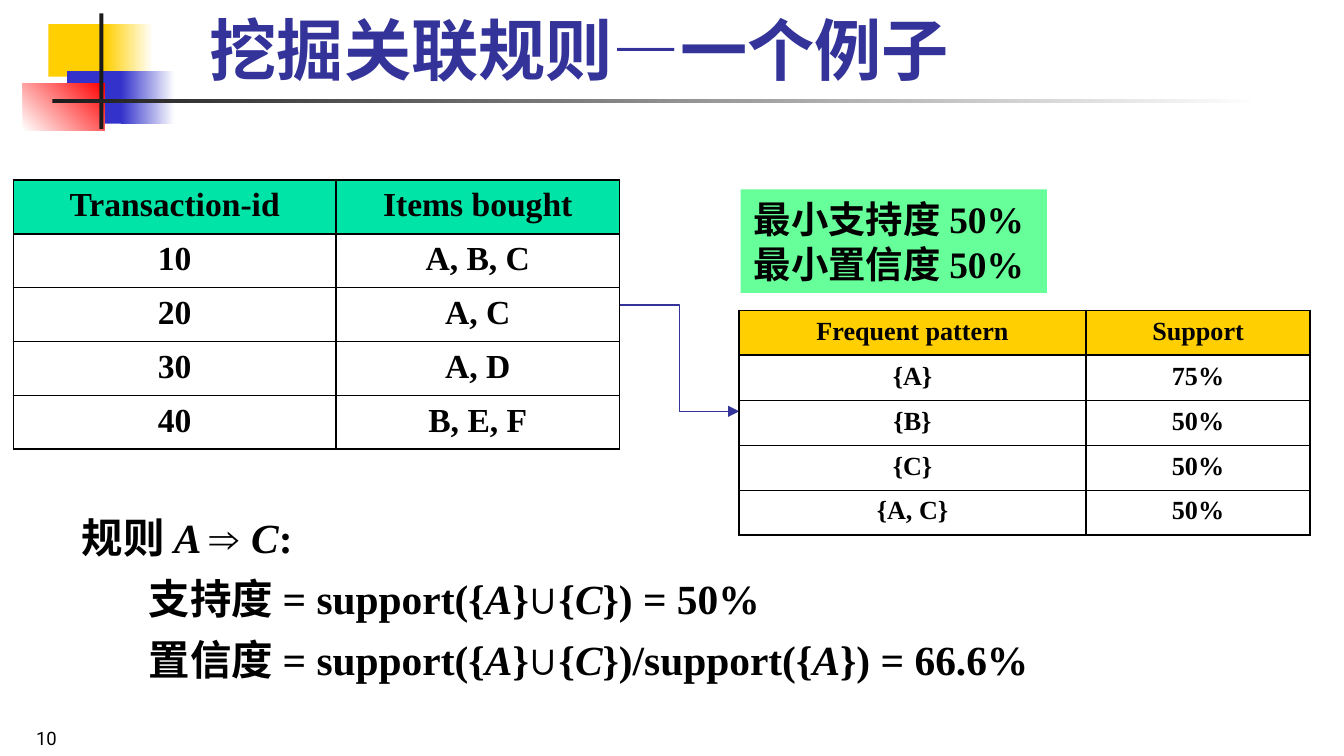
from dataclasses import dataclass

from lxml import etree
from pptx import Presentation
from pptx import util as u
from pptx.dml.color import RGBColor
from pptx.enum import shapes, text
from pptx.oxml.ns import qn

COLORS = {
    "yellow": "FFCF01", "blue": "3333CC", "red": "FF0000", "white": "FFFFFF",
    "dark": "1C1C1C", "navy": "333399", "black": "000000",
    "teal": "00E4A8", "mint": "66FF99",
}
SERIF = "Times New Roman"
THIN, THICK = 0.45, 1.08
SLIDE_WIDTH = 10
SLIDE_HEIGHT = SLIDE_WIDTH * 9 / 16


@dataclass
class Block:
    box: tuple[float, float, float, float]
    color: str
    fade_to: str | None = None
    angle: float = 0


@dataclass
class Grid:
    left: float
    top: float
    widths: tuple[float, ...]
    row_height: float
    size: float
    before: float
    header: str
    rows: list[tuple[str, ...]]


DECOR = [
    Block((0.36, 0.18, 0.48, 0.39), "yellow"),
    Block((0.78, 0.18, 0.36, 0.39), "yellow", "white"),
    Block((0.5, 0.53, 0.46, 0.39), "blue"),
    Block((0.9, 0.53, 0.4, 0.39), "blue", "white"),
    Block((0.17, 0.62, 0.61, 0.35), "white", "red", 45),
    Block((0.74, 0.1, 0.03, 0.86), "dark"),
    Block((0.39, 0.74, 9, 0.03), "dark", "white"),
]
TRANSACTIONS = Grid(0.1, 1.34, (2.4, 2.11), 0.38, 18, 4.5, "teal", [
    ("Transaction-id", "Items bought"),
    ("10", "A, B, C"), ("20", "A, C"), ("30", "A, D"), ("40", "B, E, F"),
])
PATTERNS = Grid(5.5, 2.31, (2.58, 1.67), 0.31, 14, 3.5, "yellow", [
    ("Frequent pattern", "Support"),
    ("{A}", "75%"), ("{B}", "50%"), ("{C}", "50%"), ("{A, C}", "50%"),
])
UNION = ["A", "}", "∪", "{", "C"]
RULES = [
    (0.38, -0.38, ["规则 ", "A ", "⇒ ", "C", ":"]),
    (0.81, -0.31, ["支持度 = support({", *UNION, "}) = 50%"]),
    (0.81, -0.31, ["置信度 = support({", *UNION, "})/support({", "A", "}) = 66.6%"]),
]


def rgb(name: str) -> RGBColor:
    return RGBColor.from_string(COLORS[name])


def inches(*values: float) -> list[u.Length]:
    return [u.Inches(v) for v in values]


def set_font(p, size: float, color: str = "black", name: str = SERIF, bold: bool = True) -> None:
    f = p.font
    f.name, f.size, f.bold = name, u.Pt(size), bold
    f.color.rgb = rgb(color)


def draw_block(s, block: Block):
    sp = s.shapes.add_shape(shapes.MSO_SHAPE.RECTANGLE, *inches(*block.box))
    sp.shadow.inherit = False
    sp.line.fill.background()
    if block.fade_to:
        sp.fill.gradient()
        sp.fill.gradient_angle = block.angle
        for stop, color in zip(sp.fill.gradient_stops, (block.color, block.fade_to)):
            stop.color.rgb = rgb(color)
    else:
        sp.fill.solid()
        sp.fill.fore_color.rgb = rgb(block.color)
    return sp


def set_borders(cell, top: float, bottom: float) -> None:
    tc_pr = cell._tc.get_or_add_tcPr()
    for side, width in (("L", THICK), ("R", THICK), ("T", top), ("B", bottom)):
        ln = etree.SubElement(tc_pr, qn(f"a:ln{side}"), w=str(u.Pt(width)))
        fill = etree.SubElement(ln, qn("a:solidFill"))
        etree.SubElement(fill, qn("a:srgbClr"), val=COLORS["black"])


def draw_grid(s, grid: Grid) -> None:
    count = len(grid.rows)
    frame = s.shapes.add_table(count, len(grid.widths), *inches(
        grid.left, grid.top, sum(grid.widths), grid.row_height * count))
    table = frame.table
    table.first_row = table.horz_banding = False
    for column, width in zip(table.columns, grid.widths):
        column.width = u.Inches(width)
    for i, values in enumerate(grid.rows):
        table.rows[i].height = u.Inches(grid.row_height)
        for j, value in enumerate(values):
            cell = table.cell(i, j)
            set_borders(cell, THICK if i < 2 else THIN,
                        THICK if i in (0, count - 1) else THIN)
            if i == 0:
                cell.fill.solid()
                cell.fill.fore_color.rgb = rgb(grid.header)
            else:
                cell.fill.background()
            p = cell.text_frame.paragraphs[0]
            p.text = value
            p.alignment = text.PP_ALIGN.CENTER
            p.space_before = u.Pt(grid.before)
            set_font(p, grid.size)


def draw_title(s) -> None:
    title = s.shapes.title
    title.left, title.top, title.width, title.height = inches(1.46, 0.15, 8.08, 0.56)
    tf = title.text_frame
    tf.text = "挖掘关联规则—一个例子"
    tf.auto_size = text.MSO_AUTO_SIZE.NONE
    tf.vertical_anchor = text.MSO_ANCHOR.BOTTOM
    p = tf.paragraphs[0]
    p.alignment = text.PP_ALIGN.LEFT
    set_font(p, 36, "navy")


def draw_page_number(s) -> None:
    tf = s.shapes.add_textbox(*inches(0.17, 5.31, 2.75, 0.31)).text_frame
    tf.word_wrap = True
    tf.vertical_anchor = text.MSO_ANCHOR.BOTTOM
    p = tf.paragraphs[0]
    p.text = "10"
    p.line_spacing = 0.8
    set_font(p, 9.9, name="Roboto", bold=False)


def draw_rules(s) -> None:
    tf = s.shapes.add_textbox(*inches(0.51, 3.76, 8.96, 1.36)).text_frame
    tf.word_wrap = True
    for i, (margin, indent, parts) in enumerate(RULES):
        p = tf.paragraphs[0] if i == 0 else tf.add_paragraph()
        p_pr = p._p.get_or_add_pPr()
        p_pr.set("marL", str(u.Inches(margin)))
        p_pr.set("indent", str(u.Inches(indent)))
        if i:
            p.level = 1
            p.space_before = u.Pt(6)
        set_font(p, 22.2)
        for part in parts:
            r = p.add_run()
            r.text = part
            if part.strip() in ("A", "C"):
                r.font.italic = True
            if part.strip() in ("⇒", "∪"):
                r.font.name = "Arial"


def draw_thresholds(s) -> None:
    tf = draw_block(s, Block((5.51, 1.41, 2.28, 0.77), "mint")).text_frame
    tf.word_wrap = False
    tf.vertical_anchor = text.MSO_ANCHOR.MIDDLE
    tf.text = "最小支持度 50%\n最小置信度 50%"
    for p in tf.paragraphs:
        p.alignment = text.PP_ALIGN.LEFT
        set_font(p, 20)


def draw_arrow(s) -> None:
    arrow = s.shapes.add_connector(shapes.MSO_CONNECTOR.ELBOW, *inches(4.61, 2.27, 5.5, 3.06))
    arrow.line.color.rgb = rgb("navy")
    arrow.line.width = u.Pt(0.75)
    etree.SubElement(arrow.line._get_or_add_ln(), qn("a:tailEnd"), type="triangle")
    etree.SubElement(arrow._element.spPr, qn("a:effectLst"))


def main() -> None:
    prs = Presentation()
    prs.slide_width, prs.slide_height = inches(SLIDE_WIDTH, SLIDE_HEIGHT)
    s = prs.slides.add_slide(prs.slide_layouts[5])
    for block in DECOR:
        draw_block(s, block)
    draw_page_number(s)
    draw_title(s)
    draw_rules(s)
    draw_thresholds(s)
    draw_arrow(s)
    for grid in (TRANSACTIONS, PATTERNS):
        draw_grid(s, grid)
    prs.save("out.pptx")


if __name__ == "__main__":
    main()
